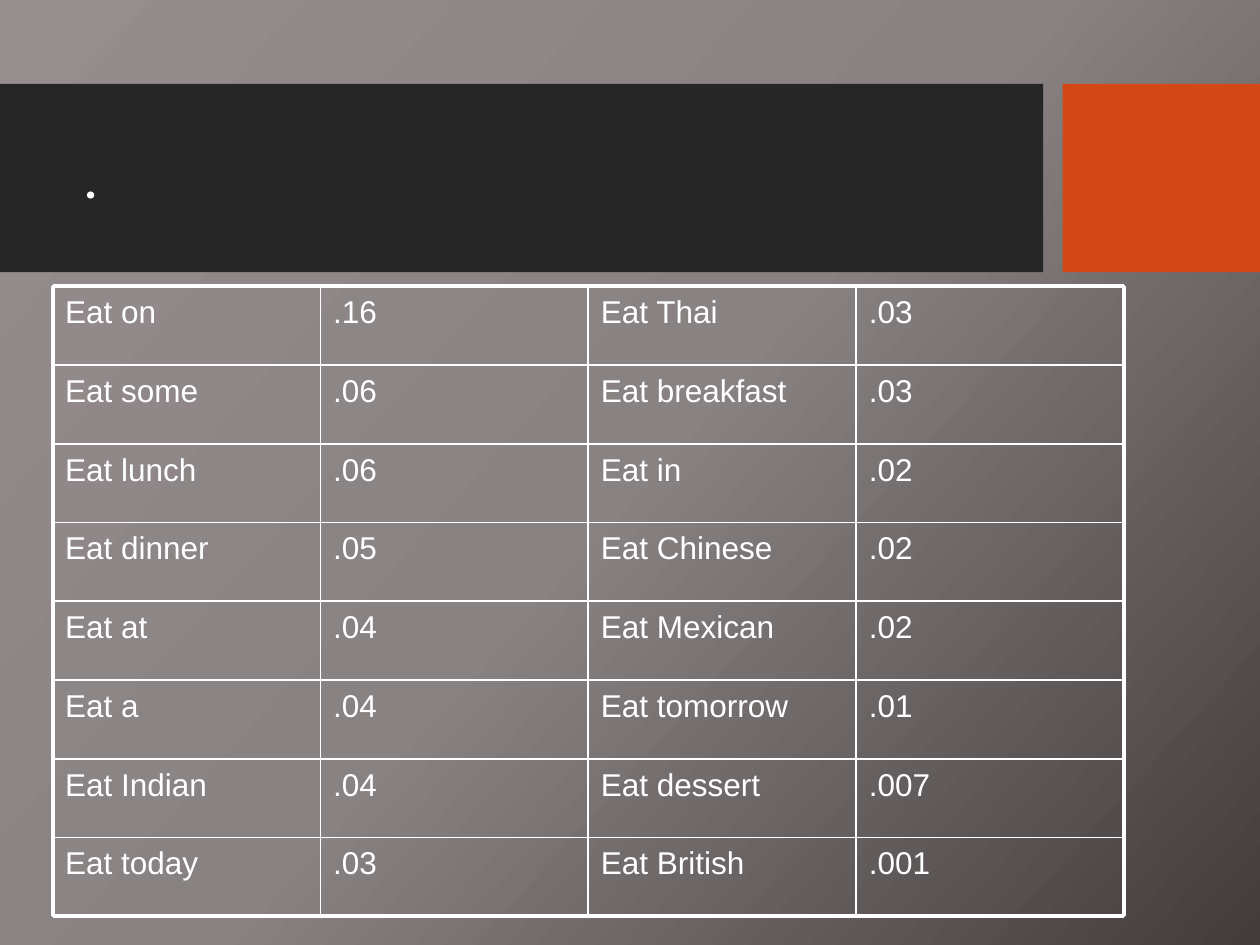
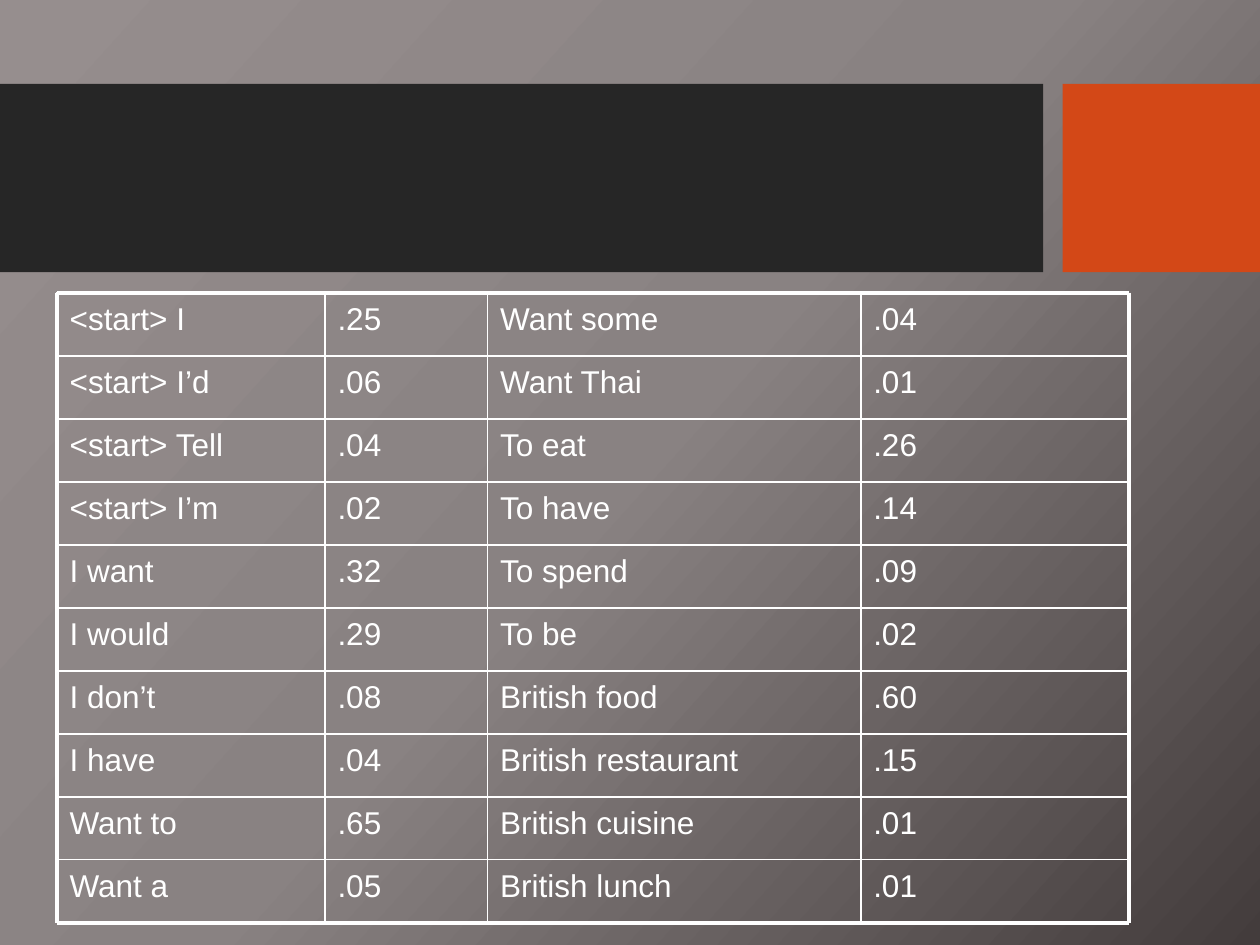
from copy import deepcopy
from itertools import accumulate

from lxml import etree
from pptx import Presentation
from pptx.dml.color import RGBColor
from pptx.enum.shapes import MSO_CONNECTOR as Connector, MSO_SHAPE as Shape
from pptx.enum.text import MSO_ANCHOR as Anchor, PP_ALIGN as Align
from pptx.oxml.ns import qn
from pptx.util import Cm, Pt

WHITE = RGBColor(0xFF, 0xFF, 0xFF)
CHARCOAL = RGBColor(0x26, 0x26, 0x26)
ORANGE = RGBColor(0xD3, 0x48, 0x17)
BACKDROP = [
    (0, RGBColor(0x96, 0x8E, 0x8E)),
    (0.5, RGBColor(0x89, 0x82, 0x82)),
    (1, RGBColor(0x43, 0x3C, 0x3C)),
]

BANDS = [(0, 21.03, CHARCOAL), (21.42, 3.98, ORANGE)]
BAND_TOP, BAND_HEIGHT = 1.69, 3.8
TABLE_HEIGHT = 12.7
OUTER_LINE, INNER_LINE = Pt(2.25), Pt(1)

TITLE_FONT = {"name": "Karla", "size": Pt(36)}
CELL_FONT = {"name": "Arial", "size": Pt(18)}
TITLE_PLACE = {"left": Cm(1.47), "top": Cm(2.1), "width": Cm(19.15), "height": Cm(3)}

PAGES = [
    {
        "title": ".",
        "left": 1.06,
        "top": 5.77,
        "columns": [5.4, 5.4, 5.4, 5.4],
        "rows": [
            ("Eat on", ".16", "Eat Thai", ".03"),
            ("Eat some", ".06", "Eat breakfast", ".03"),
            ("Eat lunch", ".06", "Eat in", ".02"),
            ("Eat dinner", ".05", "Eat Chinese", ".02"),
            ("Eat at", ".04", "Eat Mexican", ".02"),
            ("Eat a", ".04", "Eat tomorrow", ".01"),
            ("Eat Indian", ".04", "Eat dessert", ".007"),
            ("Eat today", ".03", "Eat British", ".001"),
        ],
    },
    {
        "title": None,
        "left": 1.15,
        "top": 5.9,
        "columns": [5.4, 3.28, 7.52, 5.4],
        "rows": [
            ("<start> I", ".25", "Want some", ".04"),
            ("<start> I’d", ".06", "Want Thai", ".01"),
            ("<start> Tell", ".04", "To eat", ".26"),
            ("<start> I’m", ".02", "To have", ".14"),
            ("I want", ".32", "To spend", ".09"),
            ("I would", ".29", "To be", ".02"),
            ("I don’t", ".08", "British food", ".60"),
            ("I have", ".04", "British restaurant", ".15"),
            ("Want to", ".65", "British cuisine", ".01"),
            ("Want a", ".05", "British lunch", ".01"),
        ],
    },
]


def write(frame, text, font):
    para = frame.paragraphs[0]
    para.alignment = Align.LEFT
    span = para.add_run()
    span.text = text
    for name, value in font.items():
        setattr(span.font, name, value)
    span.font.color.rgb = WHITE
    return para


def draw_rule(page, start, end, width):
    rule = page.shapes.add_connector(
        Connector.STRAIGHT, *(Cm(length) for length in start + end)
    )
    rule.line.color.rgb = WHITE
    rule.line.width = width
    etree.SubElement(rule.element.spPr, qn("a:effectLst"))


deck = Presentation()
deck.slide_width, deck.slide_height = Cm(25.4), Cm(19.05)

backdrop = deck.slide_master.background.fill
backdrop.gradient()
backdrop.gradient_angle = 318
stop_list = deck.slide_master.element.find(".//" + qn("a:gsLst"))
stop_list.append(deepcopy(stop_list[-1]))
for stop, (position, color) in zip(backdrop.gradient_stops, BACKDROP):
    stop.position = position
    stop.color.rgb = color

for content in PAGES:
    page = deck.slides.add_slide(deck.slide_layouts[5])
    title = page.shapes.title

    for left, width, color in BANDS:
        band = page.shapes.add_shape(
            Shape.RECTANGLE, Cm(left), Cm(BAND_TOP), Cm(width), Cm(BAND_HEIGHT)
        )
        band.shadow.inherit = False
        band.fill.solid()
        band.fill.fore_color.rgb = color
        band.line.fill.background()
        title.element.addprevious(band.element)

    if content["title"]:
        for name, value in TITLE_PLACE.items():
            setattr(title, name, value)
        title.text_frame.vertical_anchor = Anchor.MIDDLE
        write(title.text_frame, content["title"], TITLE_FONT).line_spacing = 0.9
    else:
        title.element.getparent().remove(title.element)

    rows, columns = content["rows"], content["columns"]
    left, top = content["left"], content["top"]
    right, bottom = left + sum(columns), top + TABLE_HEIGHT
    row_height = TABLE_HEIGHT / len(rows)

    table = page.shapes.add_table(
        len(rows), len(columns), Cm(left), Cm(top), Cm(right - left), Cm(TABLE_HEIGHT)
    ).table
    table.first_row = table.horz_banding = False
    for column, width in zip(table.columns, columns):
        column.width = Cm(width)

    for row_index, row in enumerate(rows):
        table.rows[row_index].height = Cm(row_height)
        for column_index, text in enumerate(row):
            cell = table.cell(row_index, column_index)
            cell.fill.background()
            cell.margin_top = Cm(0.18)
            write(cell.text_frame, text, CELL_FONT)

    for index in range(len(rows) + 1):
        level = top + index * row_height
        width = OUTER_LINE if index in (0, len(rows)) else INNER_LINE
        draw_rule(page, (left, level), (right, level), width)

    for index, edge in enumerate(accumulate(columns, initial=left)):
        width = OUTER_LINE if index in (0, len(columns)) else INNER_LINE
        draw_rule(page, (edge, top), (edge, bottom), width)

deck.save("out.pptx")
